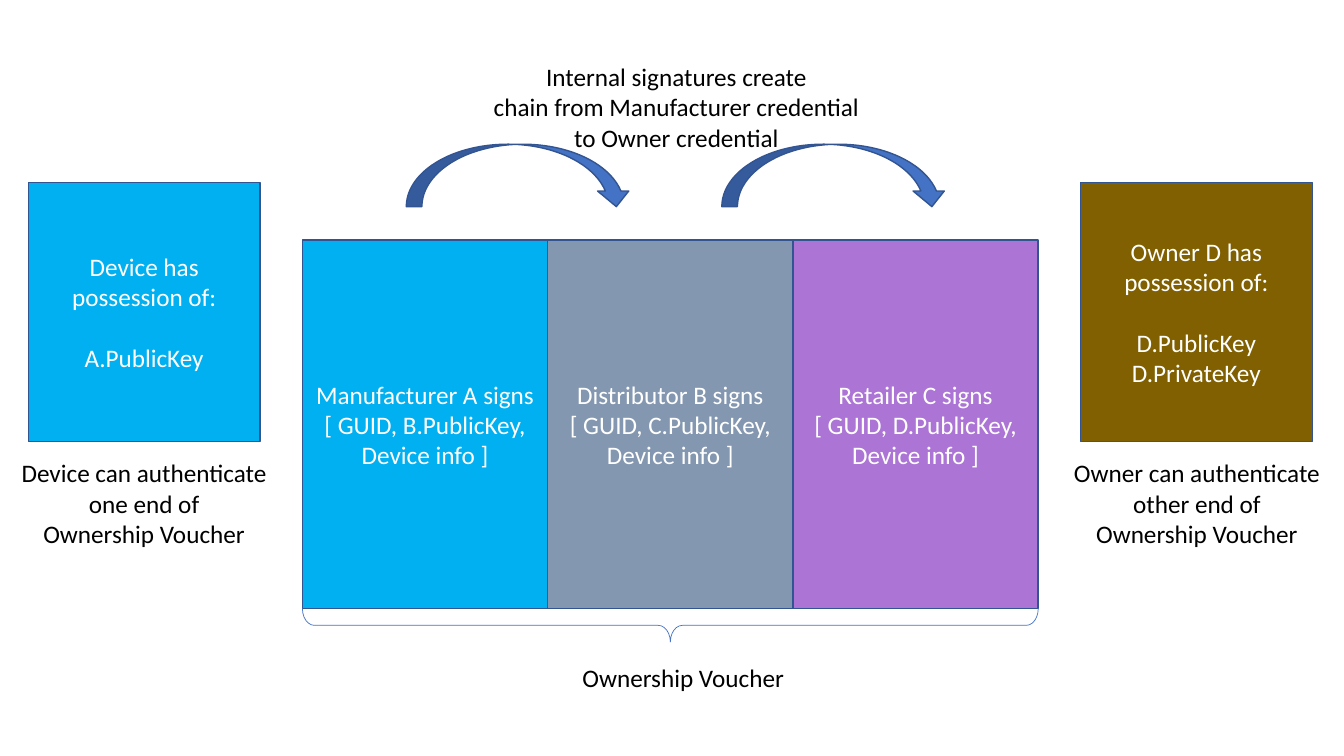
from dataclasses import dataclass

import pptx
import pptx.dml.color
import pptx.enum.shapes
import pptx.enum.text
import pptx.shapes.autoshape
import pptx.slide
import pptx.text.text
import pptx.util

Pt = pptx.util.Pt
RGBColor = pptx.dml.color.RGBColor
Preset = pptx.enum.shapes.MSO_SHAPE


@dataclass(frozen=True)
class Theme:
    font: str = "Calibri"
    text_size: float = 18
    line_height: float = 22
    outline_width: float = 1
    brace_width: float = 0.5
    light_text: str = "FFFFFF"
    dark_text: str = "000000"
    outline: str = "325491"
    accent: str = "4472C4"
    device: str = "00B0F0"
    distributor: str = "8497B0"
    retailer: str = "AC75D5"
    owner: str = "806000"


@dataclass(frozen=True)
class Bounds:
    left: float
    top: float
    width: float
    height: float

    def lengths(self) -> list[pptx.util.Length]:
        return [Pt(value) for value in (self.left, self.top, self.width, self.height)]


@dataclass(frozen=True)
class Box:
    bounds: Bounds
    fill: str
    heading: tuple[str, ...]
    keys: tuple[str, ...] = ()


@dataclass(frozen=True)
class Caption:
    bounds: Bounds
    lines: tuple[str, ...]


THEME = Theme()


def write_lines(frame: pptx.text.text.TextFrame, lines: tuple[str, ...], color: str) -> None:
    for index, line in enumerate(lines):
        paragraph = frame.paragraphs[0] if index == 0 else frame.add_paragraph()
        paragraph.alignment = pptx.enum.text.PP_ALIGN.CENTER
        run = paragraph.add_run()
        run.text = line
        run.font.name = THEME.font
        run.font.size = Pt(THEME.text_size)
        run.font.color.rgb = RGBColor.from_string(color)


def draw_shape(
    slide: pptx.slide.Slide, preset: Preset, bounds: Bounds,
    fill: str | None, line: str, line_width: float,
) -> pptx.shapes.autoshape.Shape:
    shape = slide.shapes.add_shape(preset, *bounds.lengths())
    shape.shadow.inherit = False
    if fill is None:
        shape.fill.background()
    else:
        shape.fill.solid()
        shape.fill.fore_color.rgb = RGBColor.from_string(fill)
    shape.line.color.rgb = RGBColor.from_string(line)
    shape.line.width = Pt(line_width)
    return shape


def draw_box(slide: pptx.slide.Slide, box: Box) -> None:
    shape = draw_shape(
        slide, Preset.RECTANGLE, box.bounds, box.fill, THEME.outline, THEME.outline_width
    )
    frame = shape.text_frame
    frame.word_wrap = True
    frame.vertical_anchor = pptx.enum.text.MSO_ANCHOR.MIDDLE
    write_lines(frame, box.heading + box.keys, THEME.light_text)
    if box.keys:
        frame.paragraphs[len(box.heading)].space_before = Pt(THEME.line_height)


def draw_arrow(slide: pptx.slide.Slide, bounds: Bounds) -> None:
    draw_shape(
        slide, Preset.CURVED_DOWN_ARROW, bounds, THEME.accent, THEME.outline, THEME.outline_width
    )


def draw_brace(slide: pptx.slide.Slide, center_x: float, top: float, span: float, depth: float) -> None:
    bounds = Bounds(center_x - depth / 2, top + depth / 2 - span / 2, depth, span)
    brace = draw_shape(slide, Preset.RIGHT_BRACE, bounds, None, THEME.accent, THEME.brace_width)
    brace.rotation = 90
    brace.adjustments[0] = 0.36
    brace.adjustments[1] = 0.5


def draw_caption(slide: pptx.slide.Slide, caption: Caption) -> None:
    frame = slide.shapes.add_textbox(*caption.bounds.lengths()).text_frame
    frame.word_wrap = False
    frame.auto_size = pptx.enum.text.MSO_AUTO_SIZE.SHAPE_TO_FIT_TEXT
    write_lines(frame, caption.lines, THEME.dark_text)


presentation = pptx.Presentation()
presentation.slide_width = Pt(960)
presentation.slide_height = Pt(540)
slide = presentation.slides.add_slide(presentation.slide_layouts[6])

VOUCHER = Bounds(216, 171.4, 525.6, 263.4)
SIGNERS = (
    ("Manufacturer A", "B", THEME.device),
    ("Distributor B", "C", THEME.distributor),
    ("Retailer C", "D", THEME.retailer),
)
signer_width = VOUCHER.width / len(SIGNERS)
for index, (signer, next_key, fill) in enumerate(SIGNERS):
    bounds = Bounds(VOUCHER.left + index * signer_width, VOUCHER.top, signer_width, VOUCHER.height)
    lines = (f"{signer} signs", f"[ GUID, {next_key}.PublicKey,", "Device info ]")
    draw_box(slide, Box(bounds, fill, lines))

HOLDERS = (
    Box(Bounds(771.8, 130.4, 165.6, 185), THEME.owner,
        ("Owner D has possession of:",), ("D.PublicKey", "D.PrivateKey")),
    Box(Bounds(20.2, 130.4, 165.6, 185), THEME.device,
        ("Device has possession of:",), ("A.PublicKey",)),
)
for holder in HOLDERS:
    draw_box(slide, holder)

draw_brace(slide, VOUCHER.left + VOUCHER.width / 2, VOUCHER.top + VOUCHER.height, VOUCHER.width, 23.8)

for arrow_left in (290.2, 515.6):
    draw_arrow(slide, Bounds(arrow_left, 103, 161.2, 44.6))

CAPTIONS = (
    Caption(Bounds(407.8, 469.4, 160.6, 29), ("Ownership Voucher",)),
    Caption(Bounds(7.2, 323.3, 191.5, 72.7),
            ("Device can authenticate", "one end of", "Ownership Voucher")),
    Caption(Bounds(758.9, 323.3, 192.2, 72.7),
            ("Owner can authenticate", "other end of", "Ownership Voucher")),
    Caption(Bounds(344.2, 40.3, 277.9, 72.7),
            ("Internal signatures create", "chain from Manufacturer credential",
             "to Owner credential")),
)
for caption in CAPTIONS:
    draw_caption(slide, caption)

presentation.save("out.pptx")
